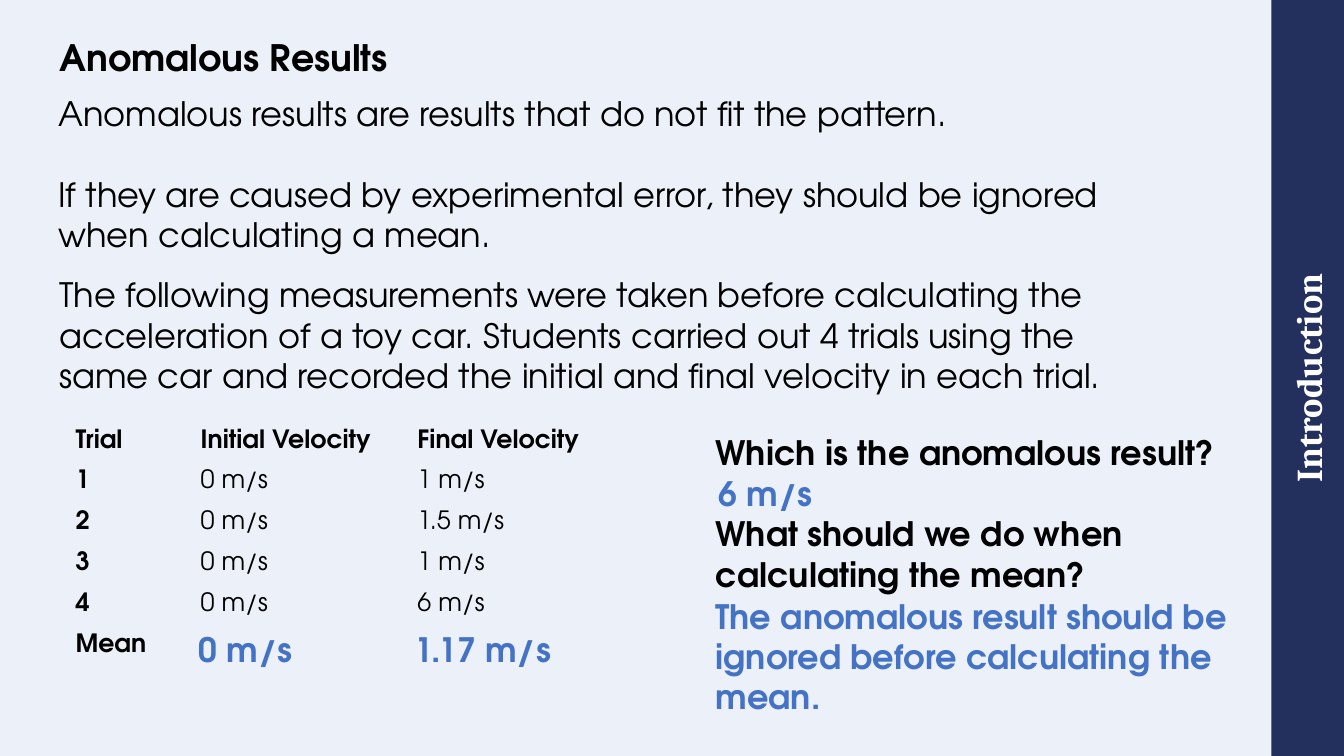
import pptx
import pptx.dml.color
import pptx.enum.shapes
import pptx.enum.text
import pptx.oxml.ns
import pptx.util
from dataclasses import dataclass

Inches = pptx.util.Inches
ALIGN = pptx.enum.text.PP_ALIGN
ANCHOR = pptx.enum.text.MSO_ANCHOR


@dataclass(frozen=True)
class Theme:
    body_font: str = "TeX Gyre Adventor"
    sidebar_font: str = "Cambria"
    background: str = "ECF1F9"
    navy: str = "232F5D"
    ink: str = "000000"
    answer: str = "4472C4"
    white: str = "FFFFFF"
    heading_size: int = 26
    body_size: int = 24
    table_size: int = 18
    blank_line: int = 29


THEME = Theme()
NO_GRID_STYLE = "{2D5ABB26-0587-4C30-8999-92F81FD0307C}"

TRIALS = [
    ("Trial", "Initial Velocity", "Final Velocity"),
    ("1", "0 m/s", "1 m/s"),
    ("2", "0 m/s", "1.5 m/s"),
    ("3", "0 m/s", "1 m/s"),
    ("4", "0 m/s", "6 m/s"),
    ("Mean", "", ""),
]
COLUMN_WIDTHS = (1.24, 2.15, 2.63)


def rgb(value):
    return pptx.dml.color.RGBColor.from_string(value)


def format_font(font, size, color=THEME.ink, bold=False, name=THEME.body_font):
    values = {"name": name, "size": pptx.util.Pt(size), "bold": bold}
    for attribute, value in values.items():
        setattr(font, attribute, value)
    font.color.rgb = rgb(color)


def format_frame(frame, anchor):
    values = {"margin_left": 0, "margin_top": 0, "margin_right": 0,
              "margin_bottom": 0, "vertical_anchor": anchor, "word_wrap": True}
    for attribute, value in values.items():
        setattr(frame, attribute, value)


def place(shape, left, top, width, height):
    values = {"left": left, "top": top, "width": width, "height": height}
    for attribute, value in values.items():
        setattr(shape, attribute, Inches(value))


def add_sidebar(slide, label):
    sidebar = slide.shapes.add_shape(
        pptx.enum.shapes.MSO_SHAPE.RECTANGLE,
        Inches(9.22), Inches(3.39), Inches(7.5), Inches(0.72))
    sidebar.rotation = 270
    sidebar.shadow.inherit = False
    sidebar.fill.solid()
    sidebar.fill.fore_color.rgb = rgb(THEME.navy)
    sidebar.line.fill.background()
    format_frame(sidebar.text_frame, ANCHOR.MIDDLE)
    heading = sidebar.text_frame.paragraphs[0]
    heading.text = label
    heading.alignment = ALIGN.CENTER
    format_font(heading.font, THEME.heading_size, THEME.white, True,
                THEME.sidebar_font)


def set_title(slide, text):
    title = slide.shapes.title
    place(title, 0.59, 0, 11.61, 0.79)
    format_frame(title.text_frame, ANCHOR.BOTTOM)
    title.text_frame.auto_size = pptx.enum.text.MSO_AUTO_SIZE.NONE
    heading = title.text_frame.paragraphs[0]
    heading.text = text
    heading.alignment = ALIGN.LEFT
    heading.line_spacing = 0.9
    format_font(heading.font, THEME.heading_size, bold=True)


def add_text(slide, box, paragraphs, color=THEME.ink, bold=False):
    frame = slide.shapes.add_textbox(*map(Inches, box)).text_frame
    frame.word_wrap = True
    frame.auto_size = pptx.enum.text.MSO_AUTO_SIZE.SHAPE_TO_FIT_TEXT
    for index, text in enumerate(paragraphs):
        paragraph = frame.add_paragraph() if index else frame.paragraphs[0]
        paragraph.text = text
        if index:
            paragraph.space_before = pptx.util.Pt(THEME.blank_line)
        format_font(paragraph.font, THEME.body_size, color, bold)


def add_trials_table(slide):
    table = slide.shapes.add_table(
        len(TRIALS), len(COLUMN_WIDTHS),
        Inches(0.65), Inches(4.21), Inches(6.02), Inches(2.43)).table
    table.horz_banding = False
    style = table._tbl.tblPr.find(pptx.oxml.ns.qn("a:tableStyleId"))
    style.text = NO_GRID_STYLE
    for column, width in zip(table.columns, COLUMN_WIDTHS):
        column.width = Inches(width)
    for row, values in enumerate(TRIALS):
        for column, value in enumerate(values):
            cell = table.cell(row, column)
            cell.fill.background()
            cell.text = value
            format_font(cell.text_frame.paragraphs[0].font, THEME.table_size,
                        bold=row == 0 or column == 0)


def main():
    deck = pptx.Presentation()
    deck.slide_width = Inches(13.33)
    deck.slide_height = Inches(7.5)
    slide = deck.slides.add_slide(deck.slide_layouts[5])
    slide.background.fill.solid()
    slide.background.fill.fore_color.rgb = rgb(THEME.background)

    # Sidebar and title
    add_sidebar(slide, "Introduction")
    set_title(slide, "Anomalous Results")

    # Explanation and experiment
    add_text(slide, (0.48, 0.87, 11.19, 1.72), [
        "Anomalous results are results that do not fit the pattern.",
        "If they are caused by experimental error, they should be ignored "
        "when calculating a mean."])
    add_trials_table(slide)
    add_text(slide, (0.49, 2.67, 11.12, 1.31), [
        "The following measurements were taken before calculating the "
        "acceleration of a toy car. Students carried out 4 trials using the "
        "same car and recorded the initial and final velocity in each trial."])

    # Questions
    add_text(slide, (7, 4.24, 5.47, 1.72), [
        "Which is the anomalous result?",
        "What should we do when calculating the mean?"], bold=True)

    # Answers
    answers = [
        ((7.03, 4.64, 1.17, 0.5), "6 m/s"),
        ((7, 5.86, 5.47, 1.31), "The anomalous result should be ignored "
                                "before calculating the mean."),
        ((1.87, 6.19, 1.17, 0.5), "0 m/s"),
        ((4.01, 6.19, 1.76, 0.5), "1.17 m/s"),
    ]
    for box, answer in answers:
        add_text(slide, box, [answer], THEME.answer, True)

    deck.save("out.pptx")


if __name__ == "__main__":
    main()
